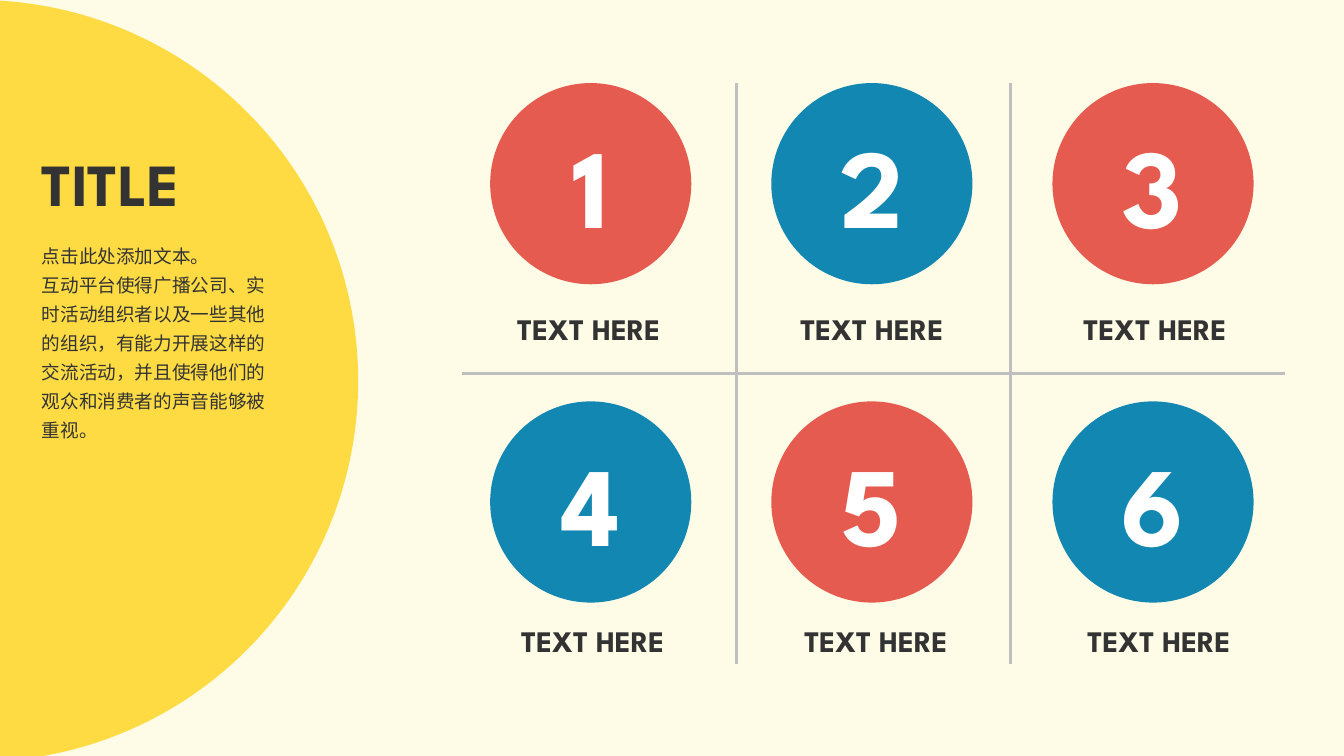
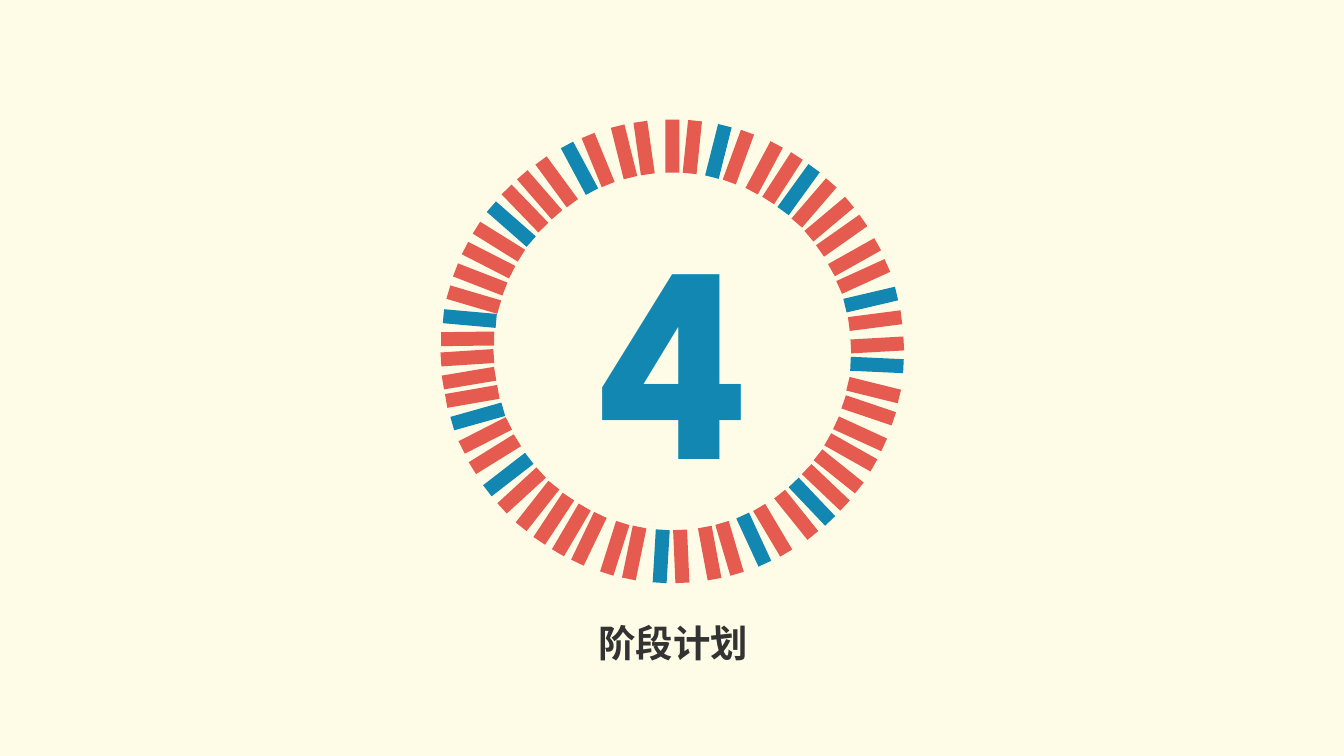
from dataclasses import dataclass
from math import cos, radians, sin

from lxml import etree
from pptx import Presentation
from pptx.dml.color import RGBColor
from pptx.enum.shapes import MSO_CONNECTOR, MSO_SHAPE
from pptx.enum.text import MSO_ANCHOR, MSO_AUTO_SIZE, PP_ALIGN
from pptx.oxml.ns import qn
from pptx.util import Emu, Inches, Pt

STRAIGHT = MSO_CONNECTOR.STRAIGHT
OVAL = MSO_SHAPE.OVAL
RECTANGLE = MSO_SHAPE.RECTANGLE
MIDDLE = MSO_ANCHOR.MIDDLE
GROW = MSO_AUTO_SIZE.SHAPE_TO_FIT_TEXT
LEFT = PP_ALIGN.LEFT
CENTER = PP_ALIGN.CENTER

EMU_PER_PIXEL = 914400 / 100.7
BLANK_LAYOUT = 6


@dataclass(frozen=True)
class Theme:
    cream: str = "FEFBE7"
    yellow: str = "FEDB43"
    red: str = "E65B4F"
    blue: str = "1187B1"
    ink: str = "333333"
    white: str = "FFFFFF"
    rule: str = "BFBFBF"
    display_font: str = "League Spartan"
    text_font: str = "Noto Sans CJK SC"
    title_size: float = 42.7
    body_size: float = 13.3
    label_size: float = 21.3
    caption_size: float = 26.7
    number_size: float = 80
    chapter_size: float = 200
    rule_width: float = 2.25


THEME = Theme()

BODY = [
    "点击此处添加文本。",
    "互动平台使得广播公司、实时活动组织者以及一些其他的组织，有能力开展这样的"
    "交流活动，并且使得他们的观众和消费者的声音能够被重视。",
]

COLUMNS = 3
CIRCLE_SIZE = 201
CIRCLE_LEFT, CIRCLE_PITCH = 490, 281
CIRCLE_TOPS = [83, 401]
LABEL_PITCH = 283
LABEL_STARTS = [(486, 305), (490, 617)]

RING_X, RING_Y, RING_RADIUS = 672, 351, 205
BAR_WIDTH, BAR_HEIGHT = 14, 53
BAR_TILTS = [0, 5.9, 14.2, 20.1, 28.2, 32.9, 35.9, 40.7,
             50, 54.8, 60.7, 65.5, 76.8, 82.6, 83, 88.8]


@dataclass(frozen=True)
class Arc:
    across: int
    down: int
    turn: float
    blue_bars: tuple
    bearings: tuple


ARCS = [
    Arc(1, -1, 0, (3, 7, 13),
        (0, 5.6, 13, 18.8, 26.6, 32.5, 38, 43.7,
         49.9, 55.7, 62.7, 68.6, 75.4, 81.4)),
    Arc(-1, -1, 8.1, (4, 8, 13),
        (7.9, 13.6, 21.2, 26.9, 34.3, 40.3, 45.9, 51.7,
         57.7, 63.6, 69.5, 75.4, 80.8, 86.5)),
    Arc(1, 1, 10.6, (3, 6, 13),
        (10.5, 16.2, 23.4, 29.3, 37.2, 42.9, 48.5, 54.2,
         60.5, 66.3, 73.3, 79.1, 86.2, 91.8)),
    Arc(-1, 1, -2.5, (2, 10, 13),
        (-2.5, 3.1, 10.7, 16.3, 24, 29.5, 35.3, 41.1,
         47.3, 53.1, 59.9, 65.8, 71.5, 77.3, 82.5, 88.2)),
]


def px(pixels):
    return Emu(round(pixels * EMU_PER_PIXEL))


def color(value):
    return RGBColor.from_string(value)


def add_span(para, text, size, ink, font, bold):
    span = para.add_run()
    span.text = text
    span.font.size = Pt(size)
    span.font.bold = bold
    span.font.name = font
    span.font.color.rgb = color(ink)
    east_asian = etree.SubElement(span.font._element, qn("a:ea"))
    east_asian.set("typeface", THEME.text_font)


def write(frame, lines, size, ink=THEME.ink, font=THEME.display_font,
          bold=True, align=CENTER, spacing=None):
    for index, line in enumerate(lines):
        para = frame.add_paragraph() if index else frame.paragraphs[0]
        para.alignment = align
        if spacing:
            para.line_spacing = spacing
        add_span(para, line, size, ink, font, bold)


def add_text(page, area, lines, size, wrap=True, **style):
    box = page.shapes.add_textbox(*map(px, area))
    box.text_frame.word_wrap = wrap
    box.text_frame.auto_size = GROW
    write(box.text_frame, lines, size, **style)


def add_solid(shapes, kind, area, fill):
    shape = shapes.add_shape(kind, *map(px, area))
    shape.shadow.inherit = False
    shape.fill.solid()
    shape.fill.fore_color.rgb = color(fill)
    shape.line.fill.background()
    return shape


def add_rule(page, *ends):
    rule = page.shapes.add_connector(STRAIGHT, *map(px, ends))
    rule.line.color.rgb = color(THEME.rule)
    rule.line.width = Pt(THEME.rule_width)
    etree.SubElement(rule._element.spPr, qn("a:effectLst"))


def add_number_circle(page, number, left, top):
    fill = THEME.red if number % 2 else THEME.blue
    area = (left, top, CIRCLE_SIZE, CIRCLE_SIZE)
    frame = add_solid(page.shapes, OVAL, area, fill).text_frame
    frame.vertical_anchor = MIDDLE
    write(frame, [str(number)], THEME.number_size, ink=THEME.white)


def add_arc(shapes, arc):
    for number, (bearing, tilt) in enumerate(zip(arc.bearings, BAR_TILTS), 1):
        angle = radians(bearing)
        center_x = RING_X + arc.across * RING_RADIUS * sin(angle)
        center_y = RING_Y + arc.down * RING_RADIUS * cos(angle)
        area = (center_x - BAR_WIDTH / 2, center_y - BAR_HEIGHT / 2,
                BAR_WIDTH, BAR_HEIGHT)
        fill = THEME.blue if number in arc.blue_bars else THEME.red
        bar = add_solid(shapes, RECTANGLE, area, fill)
        bar.rotation = -arc.across * arc.down * (tilt + arc.turn)


def add_page(deck):
    return deck.slides.add_slide(deck.slide_layouts[BLANK_LAYOUT])


def build_six_points(deck):
    page = add_page(deck)
    add_solid(page.shapes, OVAL, (-404, 0, 762, 761), THEME.yellow)
    add_text(page, (32, 142, 204, 83), ["TITLE"], THEME.title_size, align=LEFT)
    add_text(page, (32, 233, 255, 215), BODY, THEME.body_size,
             font=THEME.text_font, bold=False, align=LEFT, spacing=1.3)
    add_rule(page, 1284, 373, 462, 373)
    for x in (736, 1010):
        add_rule(page, x, 663, x, 83)
    for row, top in enumerate(CIRCLE_TOPS):
        label_left, label_top = LABEL_STARTS[row]
        for column in range(COLUMNS):
            add_number_circle(page, row * COLUMNS + column + 1,
                              CIRCLE_LEFT + column * CIRCLE_PITCH, top)
            add_text(page,
                     (label_left + column * LABEL_PITCH, label_top, 205, 46),
                     ["TEXT HERE"], THEME.label_size)


def build_chapter(deck):
    page = add_page(deck)
    ring = page.shapes.add_group_shape()
    for arc in ARCS:
        add_arc(ring.shapes, arc)
    add_text(page, (586, 174, 178, 349), ["4"], THEME.chapter_size,
             wrap=False, ink=THEME.blue)
    add_text(page, (544, 610, 258, 59), ["阶段计划"], THEME.caption_size,
             spacing=1.1)


def main():
    deck = Presentation()
    deck.slide_width = Inches(13.34)
    deck.slide_height = Inches(7.5)
    backdrop = deck.slide_master.background.fill
    backdrop.solid()
    backdrop.fore_color.rgb = color(THEME.cream)
    build_six_points(deck)
    build_chapter(deck)
    deck.save("out.pptx")


main()
